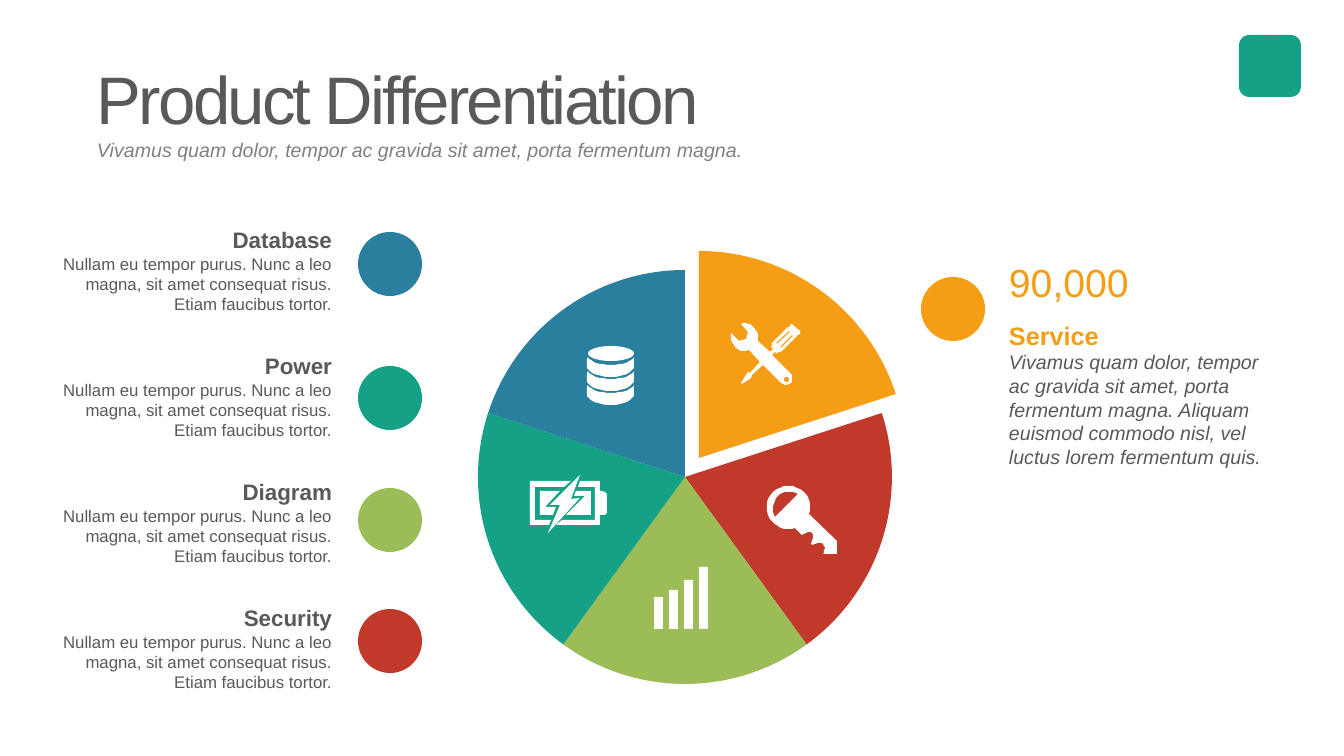
import pptx
import pptx.util
import pptx.dml.color
import pptx.enum.shapes
import pptx.enum.text

RGBColor = pptx.dml.color.RGBColor
SHAPE = pptx.enum.shapes.MSO_SHAPE
ALIGN = pptx.enum.text.PP_ALIGN
ANCHOR = pptx.enum.text.MSO_ANCHOR
AUTO_SIZE = pptx.enum.text.MSO_AUTO_SIZE

ORANGE = RGBColor(0xF4, 0x9D, 0x15)
RED = RGBColor(0xC0, 0x39, 0x2B)
GREEN = RGBColor(0x9B, 0xBC, 0x57)
TEAL = RGBColor(0x15, 0xA1, 0x85)
BLUE = RGBColor(0x29, 0x7F, 0x9D)
WHITE = RGBColor(0xFF, 0xFF, 0xFF)
DARK = RGBColor(0x59, 0x59, 0x59)
GREY = RGBColor(0x80, 0x80, 0x80)

PX = 914400 / 100.8


def paint(sp, color):
    """Give a shape a plain fill without line or shadow."""
    sp.shadow.inherit = False
    sp.fill.solid()
    sp.fill.fore_color.rgb = color
    sp.line.fill.background()


def write(tf, text, size, color, bold=False, italic=False, align=ALIGN.LEFT,
          line_spacing=None, tracking=None):
    """Append one paragraph, using the first one while it is still empty."""
    p = tf.paragraphs[0] if not tf.text else tf.add_paragraph()
    p.alignment = align
    p.line_spacing = line_spacing
    r = p.add_run()
    r.text = text
    r.font.name = "Arial"
    r.font.size = pptx.util.Pt(size)
    r.font.color.rgb = color
    r.font.bold = bold
    r.font.italic = italic
    if tracking is not None:
        r.font._element.set("spc", str(tracking))


prs = pptx.Presentation()
prs.slide_width = round(1344 * PX)
prs.slide_height = round(756 * PX)
s = prs.slides.add_slide(prs.slide_layouts[6])

# Corner tile, legend dots, top of the database icon and bars of the diagram icon
shapes = [
    (SHAPE.ROUNDED_RECTANGLE, 1239, 35, 62, 62, TEAL),
    (SHAPE.OVAL, 358, 232, 64, 64, BLUE),
    (SHAPE.OVAL, 358, 366, 64, 64, TEAL),
    (SHAPE.OVAL, 358, 488, 64, 64, GREEN),
    (SHAPE.OVAL, 358, 609, 64, 64, RED),
    (SHAPE.OVAL, 921, 277, 64, 64, ORANGE),
]

# Pie of five equal slices, clockwise from the top; the first is pulled out
slices = [(492, 251, ORANGE)] + [(478, 270, c) for c in (RED, GREEN, TEAL, BLUE)]
for i, (x, y, color) in enumerate(slices):
    sp = s.shapes.add_shape(SHAPE.PIE, *(round(v * PX) for v in (x, y, 414, 414)))
    # One full turn is 216 adjustment units
    sp.adjustments[0] = (162 + 43.2 * i) % 216
    sp.adjustments[1] = (162 + 43.2 * (i + 1)) % 216
    paint(sp, color)

shapes.append((SHAPE.OVAL, 588, 346, 46, 15, WHITE))
for i, h in enumerate((32, 39, 49, 62)):
    shapes.append((SHAPE.RECTANGLE, 654 + 15 * i, 629 - h, 9, h, WHITE))
for kind, x, y, w, h, color in shapes:
    sp = s.shapes.add_shape(kind, *(round(v * PX) for v in (x, y, w, h)))
    paint(sp, color)

# Icon outlines: a pair is a straight step, six numbers are a Bezier curve
battery = [
    [[(535, 520), (535, 487), (564, 487), (571, 481), (530, 481), (530, 525),
      (549, 525), (551, 520)]],
    [[(600, 491), (600, 481), (580, 481), (578, 487), (595, 487), (595, 520),
      (562, 520), (556, 525), (600, 525), (600, 515),
      (602, 515, 607, 516, 607, 512), (607, 496), (607, 491, 602, 491, 600, 491)]],
    [[(540, 491), (540, 515), (553, 515), (556, 507), (545, 507), (560, 491)]],
    [[(585, 496), (566, 515), (591, 515), (591, 491), (576, 491), (574, 496)]],
    [[(571, 499), (580, 475), (550, 505), (560, 505), (548, 533), (580, 498)]],
]
key = [
    [(773, 492), (765, 501, 765, 514, 773, 522), (779, 529, 788, 531, 795, 528),
     (802, 535), (802, 535, 809, 530, 812, 533), (814, 536, 812, 539, 812, 542),
     (811, 543, 811, 546, 814, 544), (816, 544, 821, 541, 823, 544),
     (827, 548, 823, 554, 823, 554), (837, 554), (837, 541), (809, 514),
     (812, 507, 810, 498, 804, 492), (795, 484, 782, 484, 773, 492)],
    [(775, 517), (772, 511, 772, 502, 778, 496), (783, 491, 792, 490, 798, 494)],
]
tools = [
    [(800, 331), (793, 325), (792, 324, 791, 324, 790, 325), (790, 327),
     (788, 327), (772, 343), (772, 345, 772, 346, 771, 347), (773, 349),
     (770, 352), (758, 341), (759, 336, 758, 331, 754, 328),
     (751, 324, 745, 322, 741, 324), (748, 332), (746, 339), (739, 341),
     (731, 333), (730, 338, 731, 343, 735, 347), (738, 351, 744, 352, 748, 350),
     (749, 350), (760, 362), (750, 373), (748, 372), (746, 375), (741, 383),
     (742, 384), (750, 379), (752, 376), (752, 375), (763, 365), (781, 383),
     (783, 384, 784, 385, 786, 385), (787, 385, 789, 384, 791, 383),
     (793, 380, 793, 376, 791, 374), (772, 355), (775, 352), (777, 354),
     (778, 352, 780, 352, 781, 352), (797, 336), (798, 335), (800, 334)],
    [(786, 377), (788, 377, 789, 378, 789, 379), (789, 381, 788, 382, 786, 382),
     (785, 382, 784, 381, 784, 379), (784, 378, 785, 377, 786, 377)],
    [(777, 344), (776, 343), (789, 331), (790, 332)],
    [(781, 348), (780, 347), (792, 335), (793, 336)],
]
database = [
    [[(588, y), (591, y + 5, 600, y + 8, 611, y + 8),
      (622, y + 8, 631, y + 5, 634, y), (634, y + 9),
      (634, y + 15, 624, y + 20, 611, y + 20),
      (598, y + 20, 587, y + 15, 587, y + 9), (587, y + 2)]]
    for y in (357, 371, 385)
]
for outline in battery + [key, tools] + database:
    fb = s.shapes.build_freeform(*outline[0][0], scale=PX)
    for n, contour in enumerate(outline):
        x, y = contour[0]
        if n:
            fb.move_to(x, y)
        points = []
        for step in contour[1:]:
            if len(step) == 6:
                x1, y1, x2, y2, x3, y3 = step
                for t in (k / 8 for k in range(1, 8)):
                    a, b, c, d = (1 - t) ** 3, 3 * t * (1 - t) ** 2, 3 * t * t * (1 - t), t ** 3
                    points.append((a * x + b * x1 + c * x2 + d * x3,
                                   a * y + b * y1 + c * y2 + d * y3))
            x, y = step[-2:]
            points.append((x, y))
        # Fractions of a px on the curves need a finer grid than whole units
        fb.add_line_segments(points, close=True)
    paint(fb.convert_to_shape(), WHITE)

# Text frames: left, top, width, height, side inset, top inset
frames = {
    "title": (90, 54, 620, 89, 7, 3),
    "subtitle": (90, 135, 706, 30, 7, 3),
    "service": (999, 253, 283, 222, 10, 5),
}
legend = ("Database", "Power", "Diagram", "Security")
for i, name in enumerate(legend):
    frames[name] = (43, 208 + 126 * i, 299, 112, 10, 5)
texts = {}
for name, (x, y, w, h, side, top) in frames.items():
    tf = s.shapes.add_textbox(*(round(v * PX) for v in (x, y, w, h))).text_frame
    tf.margin_left = tf.margin_right = round(side * PX)
    tf.margin_top = tf.margin_bottom = round(top * PX)
    tf.word_wrap = name != "title"
    tf.auto_size = AUTO_SIZE.SHAPE_TO_FIT_TEXT
    texts[name] = tf

write(texts["title"], "Product Differentiation", 48, DARK, tracking=-200)
texts["subtitle"].vertical_anchor = ANCHOR.MIDDLE
write(texts["subtitle"],
      "Vivamus quam dolor, tempor ac gravida sit amet, porta fermentum magna.",
      14, GREY, italic=True)
for name in legend:
    write(texts[name], name, 16, DARK, bold=True, align=ALIGN.RIGHT, line_spacing=1.5)
    write(texts[name], "Nullam eu tempor purus. Nunc a leo magna, sit amet consequat "
          "risus. Etiam faucibus tortor.", 12, DARK, align=ALIGN.RIGHT)
write(texts["service"], "90,000", 28, ORANGE)
write(texts["service"], "Service", 18, ORANGE, bold=True, line_spacing=1.5)
write(texts["service"], "Vivamus quam dolor, tempor ac gravida sit amet, porta fermentum "
      "magna. Aliquam euismod commodo nisl, vel luctus lorem fermentum quis.",
      14, DARK, italic=True)

prs.save("out.pptx")
